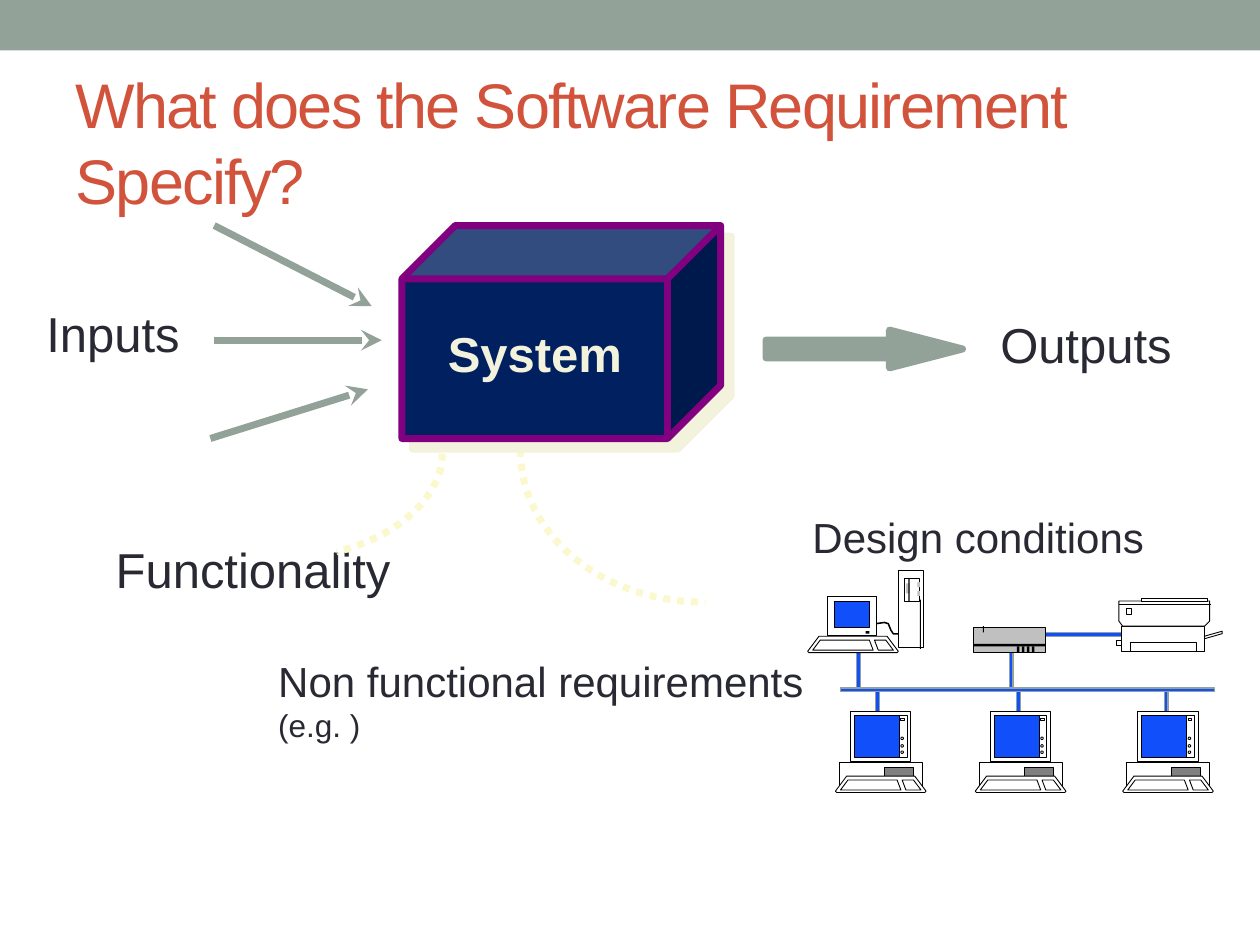
from lxml import etree
from pptx import Presentation
from pptx.dml.color import RGBColor
from pptx.enum import dml, shapes, text
from pptx.oxml.ns import qn
from pptx.util import Inches, Pt

SAGE = RGBColor(0x93, 0xA2, 0x99)
RUST = RGBColor(0xD2, 0x53, 0x3C)
INK = RGBColor(0x29, 0x29, 0x34)
NAVY = RGBColor(0x00, 0x20, 0x60)
PURPLE = RGBColor(0x80, 0x00, 0x80)
CREAM = RGBColor(0xF3, 0xF2, 0xDC)
PALE_YELLOW = RGBColor(0xFA, 0xF8, 0xCC)
BLUE = RGBColor(0x11, 0x4F, 0xFB)
WHITE = RGBColor(0xFF, 0xFF, 0xFF)
BLACK = RGBColor(0x00, 0x00, 0x00)
SILVER = RGBColor(0xC0, 0xC0, 0xC0)
GRAY = RGBColor(0x80, 0x80, 0x80)
FONT = "Arial"
KIND = shapes.MSO_SHAPE


def paint(shape, fill=WHITE, line=BLACK, weight=0.5):
    shape.shadow.inherit = False
    if fill is None:
        shape.fill.background()
    else:
        shape.fill.solid()
        shape.fill.fore_color.rgb = fill
    if line is None:
        shape.line.fill.background()
    else:
        shape.line.color.rgb = line
        shape.line.width = Pt(weight)
    return shape


def box(slide, left, top, width, height, kind=KIND.RECTANGLE, **look):
    shape = slide.shapes.add_shape(
        kind, Inches(left), Inches(top), Inches(width), Inches(height))
    return paint(shape, **look)


def outline(slide, left, top, points, close=True, **look):
    """Draw a polygon or open path whose points are offsets from left, top."""
    spots = [(Inches(left + x), Inches(top + y)) for x, y in points]
    builder = slide.shapes.build_freeform(*spots[0], scale=1.0)
    builder.add_line_segments(spots[1:], close=close)
    return paint(builder.convert_to_shape(), **look)


def segment(slide, start, end, color, weight, head=None):
    line = slide.shapes.add_connector(
        shapes.MSO_CONNECTOR.STRAIGHT, *map(Inches, start + end))
    line.line.color.rgb = color
    line.line.width = Pt(weight)
    if head:
        etree.SubElement(line._element.spPr.find(qn("a:ln")), qn("a:tailEnd"), type=head)
    etree.SubElement(line._element.spPr, qn("a:effectLst"))


def write(frame, *lines, sizes=(28,), color=INK, bold=False, align=None, spacing=None):
    for i, (words, size) in enumerate(zip(lines, sizes)):
        paragraph = frame.add_paragraph() if i else frame.paragraphs[0]
        paragraph.alignment = align
        run = paragraph.add_run()
        run.text = words
        run.font.name = FONT
        run.font.size = Pt(size)
        run.font.bold = bold
        run.font.color.rgb = color
        if spacing is not None:
            run._r.get_or_add_rPr().set("spc", str(spacing))


def label(slide, left, top, width, height, *lines, **style):
    frame = slide.shapes.add_textbox(
        Inches(left), Inches(top), Inches(width), Inches(height)).text_frame
    frame.word_wrap = False
    write(frame, *lines, **style)


def dotted_curve(slide, start, bend_out, bend_in, end, steps=24):
    """Draw a dotted cubic curve, sampled at equal steps."""
    points = []
    for i in range(steps + 1):
        t = i / steps
        weights = ((1 - t) ** 3, 3 * t * (1 - t) ** 2, 3 * t * t * (1 - t), t ** 3)
        points.append([sum(w * p[axis] for w, p in
                           zip(weights, (start, bend_out, bend_in, end)))
                       for axis in (0, 1)])
    curve = outline(slide, 0, 0, points, close=False,
                    fill=None, line=PALE_YELLOW, weight=4)
    curve.line.dash_style = dml.MSO_LINE.ROUND_DOT


def heading(slide, left, top, width, height):
    box(slide, 0, 0, 10, 0.4, fill=SAGE, line=None)
    title = slide.shapes.title
    title.left, title.top = Inches(left), Inches(top)
    title.width, title.height = Inches(width), Inches(height)
    frame = title.text_frame
    frame.auto_size = text.MSO_AUTO_SIZE.NONE
    frame.vertical_anchor = text.MSO_ANCHOR.MIDDLE
    write(frame, "What does the Software Requirement Specify?", sizes=(36,),
          color=RUST, align=text.PP_ALIGN.LEFT, spacing=-100)


def system_cube(slide, left, top):
    cube = box(slide, left, top, 2.53, 1.69, KIND.CUBE, fill=NAVY, line=PURPLE, weight=4)
    cube.adjustments[0] = 0.25
    effects = cube._element.spPr.find(qn("a:effectLst"))
    shadow = etree.SubElement(effects, qn("a:outerShdw"), dist=str(Pt(8.5)),
                              dir="2700000", algn="ctr", rotWithShape="0")
    etree.SubElement(shadow, qn("a:srgbClr"), val=str(CREAM))
    face = box(slide, left + 0.1, top + 0.73, 1.91, 0.57, fill=NAVY, line=None)
    face.text_frame.word_wrap = True
    face.text_frame.vertical_anchor = text.MSO_ANCHOR.TOP
    write(face.text_frame, "System", color=CREAM, bold=True, align=text.PP_ALIGN.CENTER)


def flows(slide):
    for start, end in (((1.67, 3.48), (2.92, 3.09)),
                       ((1.7, 2.7), (3.03, 2.7)),
                       ((1.7, 1.79), (2.95, 2.43))):
        segment(slide, start, end, SAGE, 4, head="stealth")
    output = box(slide, 6.08, 2.62, 1.56, 0.3, KIND.RIGHT_ARROW,
                 fill=SAGE, line=SAGE, weight=4)
    output.adjustments[0] = 0.472
    output.adjustments[1] = 1.933


def keyboard(slide, left, top):
    outline(slide, left, top, [(0.09, 0), (0.63, 0), (0.72, 0.12), (0.71, 0.13),
                               (0.01, 0.13), (0, 0.12)])
    outline(slide, left, top, [(0.1, 0.03), (0.49, 0.03), (0.52, 0.11), (0.04, 0.11)])
    outline(slide, left, top, [(0.53, 0.03), (0.62, 0.03), (0.68, 0.11), (0.56, 0.11)])


def workstation(slide, left, top):
    box(slide, left + 0.03, top + 0.4, 0.66, 0.2)
    box(slide, left + 0.39, top + 0.44, 0.23, 0.09, fill=GRAY)
    keyboard(slide, left, top + 0.51)
    box(slide, left + 0.12, top, 0.48, 0.39)
    box(slide, left + 0.15, top + 0.03, 0.41, 0.33, fill=BLUE)
    box(slide, left + 0.51, top + 0.03, 0.06, 0.33)
    box(slide, left + 0.52, top + 0.05, 0.03, 0.02)
    for knob in (0.2, 0.26, 0.31):
        box(slide, left + 0.52, top + knob, 0.02, 0.02, KIND.OVAL)


def hub(slide, left, top):
    box(slide, left, top, 0.57, 0.2, fill=SILVER)
    box(slide, left, top + 0.13, 0.57, 0.02, fill=BLACK, line=None)
    for port in range(4):
        box(slide, left + 0.34 + 0.04 * port, top + 0.15, 0.02, 0.05,
            fill=BLACK, line=None)
    box(slide, left + 0.07, top - 0.01, 0.01, 0.05, fill=BLACK, line=None)


def printer(slide, left, top):
    box(slide, left + 0.04, top + 0.22, 0.66, 0.2)
    box(slide, left + 0.11, top + 0.35, 0.53, 0.07)
    outline(slide, left, top, [(0.02, 0.18), (0.05, 0.22), (0.7, 0.22),
                               (0.74, 0.18), (0.74, 0.02), (0.02, 0.02)])
    box(slide, left, top + 0.33, 0.04, 0.04)
    segment(slide, (left + 0.02, top + 0.05), (left + 0.75, top + 0.05), BLACK, 0.5)
    box(slide, left + 0.2, top, 0.52, 0.02)
    outline(slide, left, top, [(0.7, 0.3), (0.84, 0.26), (0.84, 0.28), (0.7, 0.32)])
    box(slide, left + 0.08, top + 0.08, 0.04, 0.05)


def server(slide, left, top):
    outline(slide, left, top, [(0.54, 0.42), (0.61, 0.41), (0.64, 0.42), (0.66, 0.47),
                               (0.68, 0.5), (0.73, 0.5)],
            close=False, fill=None, weight=0.88)
    keyboard(slide, left, top + 0.52)
    box(slide, left + 0.16, top + 0.2, 0.39, 0.31)
    box(slide, left + 0.21, top + 0.24, 0.28, 0.21, fill=BLUE)
    box(slide, left + 0.46, top + 0.48, 0.03, 0.02, fill=BLACK, line=None)
    box(slide, left + 0.72, top, 0.2, 0.61)
    box(slide, left + 0.77, top + 0.06, 0.12, 0.18)
    for x, y, width, height, color in ((0.89, 0.23, 0.01, 0.39, BLACK),
                                       (0.78, 0.1, 0.03, 0.08, SILVER),
                                       (0.8, 0.06, 0.01, 0.18, BLACK),
                                       (0.87, 0.09, 0.02, 0.04, SILVER),
                                       (0.87, 0.16, 0.02, 0.04, SILVER)):
        box(slide, left + x, top + y, width, height, fill=color, line=None)


def network(slide, left, top):
    cables = [(x, 0.94, 0.03, 0.33) for x in (2.83, 1.66, 0.54)]
    cables += [(x, 0.61, 0.03, 0.32) for x in (1.6, 0.39)]
    cables += [(1.73, 0.49, 0.81, 0.03), (0.26, 0.93, 2.97, 0.03)]
    for x, y, width, height in cables:
        box(slide, left + x, top + y, width, height, fill=BLUE, line=SAGE, weight=0.75)
    hub(slide, left + 1.32, top + 0.45)
    printer(slide, left + 2.45, top + 0.22)
    server(slide, left, top)
    for x in (0.22, 1.33, 2.5):
        workstation(slide, left + x, top + 1.12)


def main():
    deck = Presentation()
    deck.slide_width, deck.slide_height = Inches(10), Inches(7.5)
    slide = deck.slides.add_slide(deck.slide_layouts[5])
    heading(slide, 0.5, 0.58, 9, 1.08)
    flows(slide)
    label(slide, 0.27, 2.36, 1.27, 0.57, "Inputs")
    label(slide, 7.84, 2.45, 1.58, 0.57, "Outputs")
    label(slide, 0.82, 4.23, 2.41, 0.57, "Functionality")
    label(slide, 2.11, 5.15, 4.42, 0.81, "Non functional requirements", "(e.g. )",
          sizes=(24, 18))
    label(slide, 6.35, 4.01, 2.86, 0.51, "Design conditions", sizes=(24,))
    dotted_curve(slide, (4.13, 3.57), (4.13, 4.24), (4.77, 4.78), (5.6, 4.78))
    network(slide, 6.41, 4.53)
    dotted_curve(slide, (3.51, 3.6), (3.52, 3.9), (3.2, 4.25), (2.67, 4.38))
    system_cube(slide, 3.19, 1.79)
    deck.save("out.pptx")


if __name__ == "__main__":
    main()
